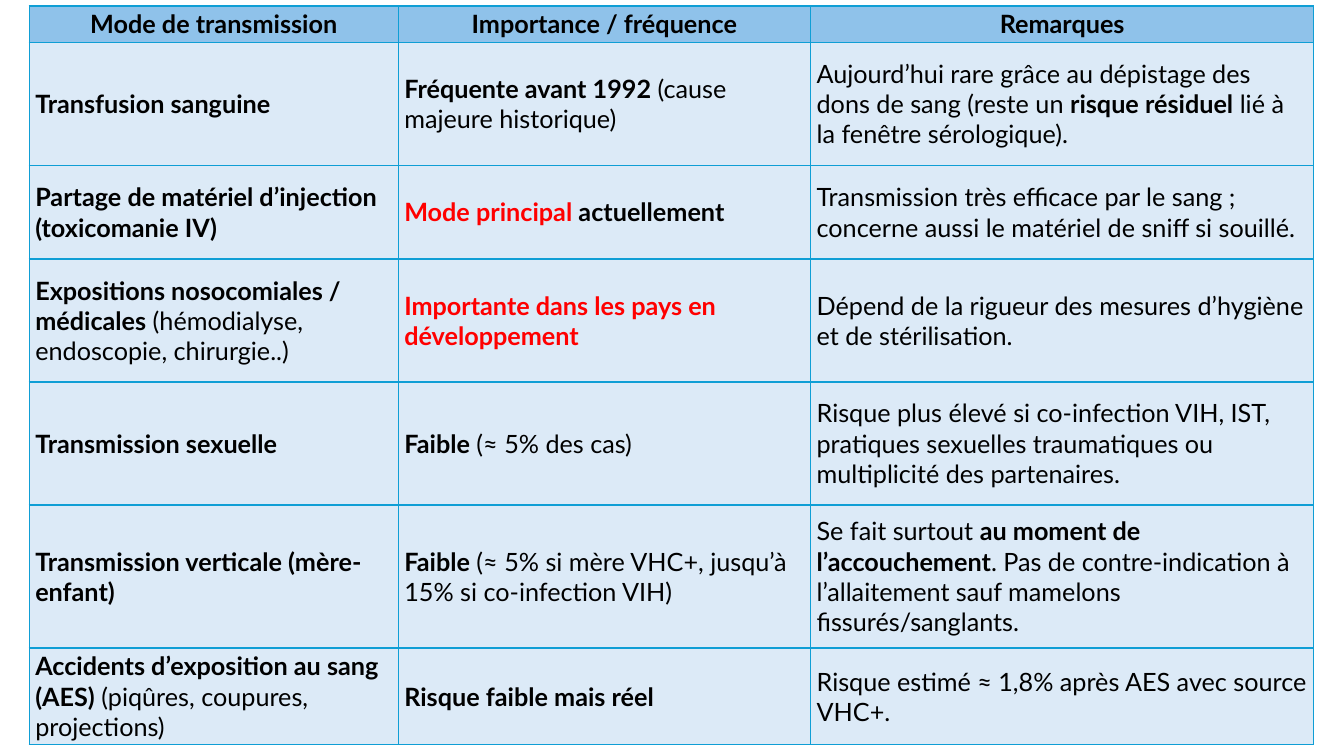
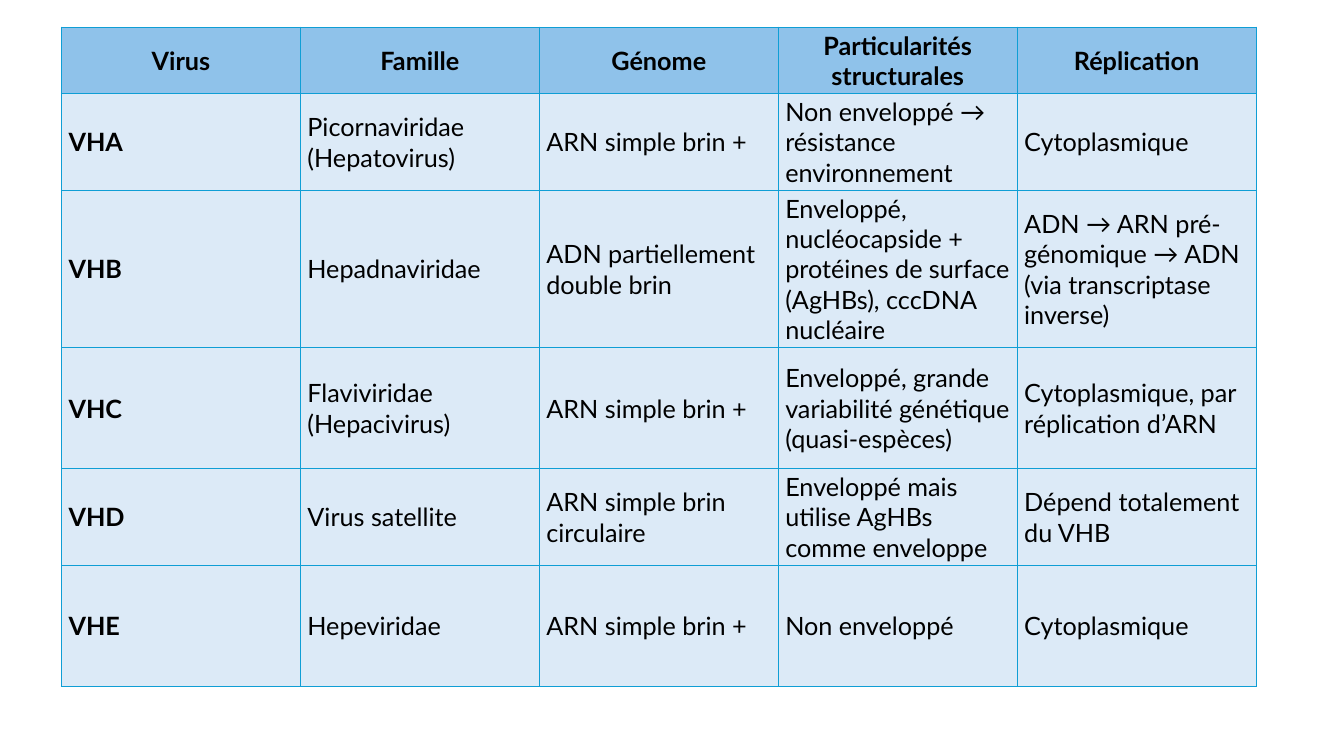
"""Build two slides of tables about hepatitis transmission and viruses."""
from dataclasses import dataclass

from lxml.etree import SubElement
from pptx import Presentation
from pptx.dml.color import RGBColor
from pptx.enum.text import MSO_ANCHOR, PP_ALIGN
from pptx.oxml.ns import qn
from pptx.presentation import Presentation as Deck
from pptx.table import _Cell
from pptx.util import Pt

EMU_PER_PX = 9144
SLIDE_WIDTH, SLIDE_HEIGHT = 1333, 750
FONT_NAME = "Lato"
FONT_SIZE = Pt(18)
BORDER_WIDTH = Pt(1)
COLORS = {
    "header": "8FC2EA",
    "body": "DCEAF7",
    "border": "0F9ED5",
    "text": "000000",
    "alert": "FF0000",
}


@dataclass(frozen=True)
class Span:
    """A stretch of text with one format."""

    text: str
    bold: bool = False
    color: str = "text"


Content = tuple[Span, ...]


@dataclass(frozen=True)
class TableSlide:
    """A slide that holds one table, with lengths in px."""

    left: int
    top: int
    columns: tuple[int, ...]
    heights: tuple[int, ...]
    side_margin: int
    headings: tuple[str, ...]
    rows: tuple[tuple[Content, ...], ...]


def px(length: int) -> int:
    """Turn px into EMU."""
    return length * EMU_PER_PX


def rgb(name: str) -> RGBColor:
    """Look up a colour by name."""
    return RGBColor.from_string(COLORS[name])


def plain(text: str) -> Content:
    """Make regular text."""
    return (Span(text),)


def bold(text: str, color: str = "text") -> Content:
    """Make bold text."""
    return (Span(text, True, color),)


def virus_row(virus: str, *facts: str) -> tuple[Content, ...]:
    """Make a row with a bold virus name and regular facts."""
    return (bold(virus), *map(plain, facts))


def add_borders(cell: _Cell) -> None:
    """Draw the four borders of a cell."""
    properties = cell._tc.get_or_add_tcPr()
    for side in ("a:lnL", "a:lnR", "a:lnT", "a:lnB"):
        line = SubElement(properties, qn(side), w=str(BORDER_WIDTH))
        fill = SubElement(line, qn("a:solidFill"))
        SubElement(fill, qn("a:srgbClr"), val=COLORS["border"])


def fill_cell(cell: _Cell, content: Content, fill: str,
              alignment: PP_ALIGN, side_margin: int) -> None:
    """Format a cell and write its text."""
    add_borders(cell)
    cell.fill.solid()
    cell.fill.fore_color.rgb = rgb(fill)
    cell.vertical_anchor = MSO_ANCHOR.MIDDLE
    cell.margin_left = cell.margin_right = px(side_margin)
    cell.margin_top = cell.margin_bottom = px(3)
    paragraph = cell.text_frame.paragraphs[0]
    paragraph.alignment = alignment
    paragraph.font.name = FONT_NAME
    paragraph.font.size = FONT_SIZE
    paragraph.font.bold = content[0].bold
    paragraph.font.color.rgb = rgb(content[0].color)
    for span in content:
        run = paragraph.add_run()
        run.text = span.text
        if span.bold != content[0].bold:
            run.font.bold = span.bold
        if span.color != content[0].color:
            run.font.color.rgb = rgb(span.color)


def add_table_slide(presentation: Deck, design: TableSlide) -> None:
    """Add a slide with its table."""
    slide = presentation.slides.add_slide(presentation.slide_layouts[6])
    table = slide.shapes.add_table(
        len(design.heights), len(design.columns), px(design.left), px(design.top),
        px(sum(design.columns)), px(sum(design.heights))).table
    table.first_row = table.horz_banding = False
    for column, width in zip(table.columns, design.columns):
        column.width = px(width)
    for row, height in zip(table.rows, design.heights):
        row.height = px(height)
    for index, heading in enumerate(design.headings):
        fill_cell(table.cell(0, index), bold(heading), "header",
                  PP_ALIGN.CENTER, design.side_margin)
    for row_index, contents in enumerate(design.rows, start=1):
        for index, content in enumerate(contents):
            fill_cell(table.cell(row_index, index), content, "body",
                      PP_ALIGN.LEFT, design.side_margin)


TRANSMISSION = TableSlide(
    left=29, top=6, columns=(366, 409, 499),
    heights=(35, 122, 93, 122, 122, 142, 93), side_margin=6,
    headings=("Mode de transmission", "Importance / fréquence", "Remarques"),
    rows=(
        (bold("Transfusion sanguine"),
         bold("Fréquente avant 1992") + plain(" (cause majeure historique)"),
         plain("Aujourd’hui rare grâce au dépistage des dons de sang (reste un ")
         + bold("risque résiduel") + plain(" lié à la fenêtre sérologique).")),
        (bold("Partage de matériel d’injection (toxicomanie IV)"),
         bold("Mode principal ", "alert") + bold("actuellement"),
         plain("Transmission très efficace par le sang ; concerne aussi "
               "le matériel de sniff si souillé.")),
        (bold("Expositions nosocomiales / médicales")
         + plain(" (hémodialyse, endoscopie, chirurgie..)"),
         bold("Importante dans les pays en développement", "alert"),
         plain("Dépend de la rigueur des mesures d’hygiène et de stérilisation.")),
        (bold("Transmission sexuelle"),
         bold("Faible") + plain(" (≈ 5% des cas)"),
         plain("Risque plus élevé si co-infection VIH, IST, pratiques sexuelles "
               "traumatiques ou multiplicité des partenaires.")),
        (bold("Transmission verticale (mère-enfant)"),
         bold("Faible")
         + plain(" (≈ 5% si mère VHC+, jusqu’à 15% si co-infection VIH)"),
         plain("Se fait surtout ") + bold("au moment de l’accouchement")
         + plain(". Pas de contre-indication à l’allaitement "
                 "sauf mamelons fissurés/sanglants.")),
        (bold("Accidents d’exposition au sang (AES)")
         + plain(" (piqûres, coupures, projections)"),
         bold("Risque faible mais réel"),
         plain("Risque estimé ≈ 1,8% après AES avec source VHC+.")),
    ),
)

VIRUSES = TableSlide(
    left=61, top=27, columns=(237,) * 5,
    heights=(65, 93, 148, 120, 93, 120), side_margin=7,
    headings=("Virus", "Famille", "Génome", "Particularités structurales",
              "Réplication"),
    rows=(
        virus_row("VHA", "Picornaviridae (Hepatovirus)", "ARN simple brin +",
                  "Non enveloppé → résistance environnement", "Cytoplasmique"),
        virus_row("VHB", "Hepadnaviridae", "ADN partiellement double brin",
                  "Enveloppé, nucléocapside + protéines de surface (AgHBs), "
                  "cccDNA nucléaire",
                  "ADN → ARN pré-génomique → ADN (via transcriptase inverse)"),
        virus_row("VHC", "Flaviviridae (Hepacivirus)", "ARN simple brin +",
                  "Enveloppé, grande variabilité génétique (quasi-espèces)",
                  "Cytoplasmique, par réplication d’ARN"),
        virus_row("VHD", "Virus satellite", "ARN simple brin circulaire",
                  "Enveloppé mais utilise AgHBs comme enveloppe",
                  "Dépend totalement du VHB"),
        virus_row("VHE", "Hepeviridae", "ARN simple brin +", "Non enveloppé",
                  "Cytoplasmique"),
    ),
)


def main() -> None:
    """Build and save the presentation."""
    presentation = Presentation()
    presentation.slide_width = px(SLIDE_WIDTH)
    presentation.slide_height = px(SLIDE_HEIGHT)
    for design in (TRANSMISSION, VIRUSES):
        add_table_slide(presentation, design)
    presentation.save("out.pptx")


if __name__ == "__main__":
    main()
